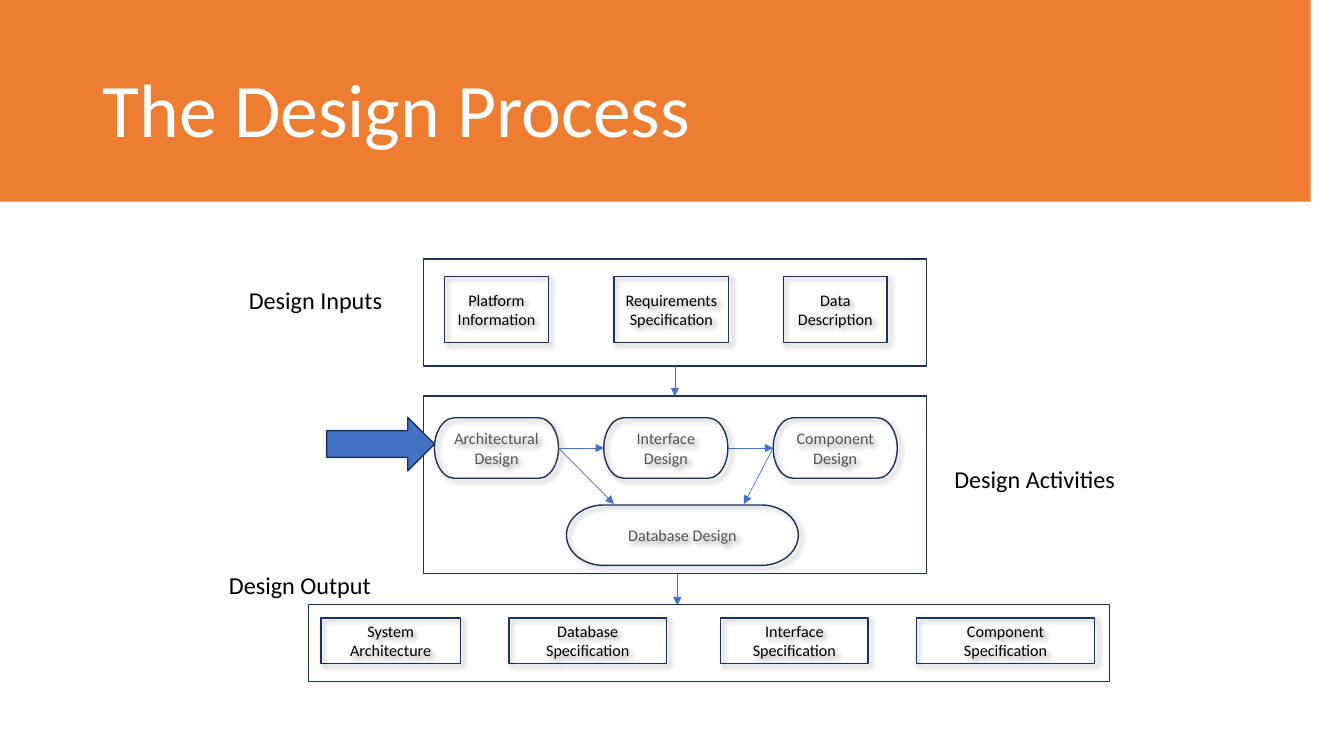
from lxml import etree
from pptx import Presentation
from pptx import util as u
from pptx.dml.color import RGBColor
from pptx.enum import shapes, text
from pptx.oxml import parse_xml
from pptx.oxml.ns import nsdecls, qn

COLORS = {
    "band": "ED7D31", "title": "FFFFFF", "ink": "000000",
    "muted": "555555", "outline": "1E3256", "accent": "4472C4",
}
FONT = "Calibri"
WIDTH, HEIGHT = u.Inches(13.33), u.Inches(7.5)

# Boxes are left, top, width, height in hundredths of the slide's size.
TITLE = (6.9, 5.33, 86.27, 19.33)
INPUTS = (31.5, 34.27, 37.43, 14.13)
ACTIVITIES = (31.5, 52.4, 37.43, 23.47)
OUTPUTS = (22.95, 80, 59.63, 10.13)

# Lower edge of the band in inches, right to left: two controls and an end.
WAVE_START = (13.04, 2.09)
WAVE = [
    (12.66, 2.06, 12.28, 2.06, 11.9, 2.06), (11.48, 2.07, 11.05, 2.09, 10.63, 2.14),
    (10.49, 2.15, 10.35, 2.15, 10.21, 2.14), (10.07, 2.13, 9.92, 2.12, 9.77, 2.13),
    (9.33, 2.14, 8.88, 2.11, 8.43, 2.13), (7.91, 2.15, 7.39, 2.13, 6.87, 2.11),
    (6.51, 2.1, 6.16, 2.09, 5.8, 2.14), (5.67, 2.15, 5.54, 2.14, 5.41, 2.13),
    (5.12, 2.1, 4.82, 2.11, 4.52, 2.14), (4.18, 2.18, 3.84, 2.17, 3.49, 2.15),
    (3.05, 2.12, 2.61, 2.08, 2.17, 2.09), (1.97, 2.1, 1.77, 2.12, 1.58, 2.13),
    (1.33, 2.15, 1.07, 2.15, 0.82, 2.12), (0.61, 2.11, 0.4, 2.1, 0.18, 2.11),
]


def color(name):
    return RGBColor.from_string(COLORS[name])


def across(share):
    return round(WIDTH * share / 100)


def down(share):
    return round(HEIGHT * share / 100)


def place(box):
    left, top, width, height = box
    return across(left), down(top), across(width), down(height)


def inside(frame, left, top, width, height):
    """Turn offsets within a frame into a box on the slide."""
    return frame[0] + left, frame[1] + top, width, height


def write(frame, words, size=11.5, ink="ink", align=text.PP_ALIGN.CENTER,
          anchor=text.MSO_ANCHOR.MIDDLE, wrap=True):
    frame.word_wrap = wrap
    frame.vertical_anchor = anchor
    para = frame.paragraphs[0]
    para.alignment = align
    span = para.add_run()
    span.text = words
    span.font.size, span.font.name = u.Pt(size), FONT
    span.font.color.rgb = color(ink)
    return para


def add_outline(page, kind, box, fill=None):
    shape = page.shapes.add_shape(kind, *place(box))
    shape.shadow.inherit = False
    if fill:
        shape.fill.solid()
        shape.fill.fore_color.rgb = color(fill)
    else:
        shape.fill.background()
    shape.line.color.rgb = color("outline")
    shape.line.width = u.Pt(1)
    return shape


def add_node(page, kind, box, words, ink="ink"):
    """Add a captioned outline with a soft shadow."""
    shape = add_outline(page, kind, box)
    effects = shape._element.spPr.find(qn("a:effectLst"))
    effects.append(parse_xml(
        f'<a:outerShdw {nsdecls("a")} blurRad="{u.Pt(4)}" dist="{u.Pt(3)}" '
        'dir="2700000" algn="tl" rotWithShape="0"><a:srgbClr val="000000">'
        '<a:alpha val="40000"/></a:srgbClr></a:outerShdw>'))
    shape.text_frame.margin_top = shape.text_frame.margin_bottom = 0
    write(shape.text_frame, words, ink=ink)
    return shape


def add_label(page, box, words):
    label = page.shapes.add_textbox(*place(box))
    write(label.text_frame, words, size=17.3, anchor=text.MSO_ANCHOR.TOP, wrap=False)


def add_arrow(page, start=(0, 0), end=(0, 0), source=None, target=None):
    """Join two points, or glue to the right of source and left of target."""
    arrow = page.shapes.add_connector(
        shapes.MSO_CONNECTOR.STRAIGHT,
        across(start[0]), down(start[1]), across(end[0]), down(end[1]))
    if source is not None:
        arrow.begin_connect(source, 3)
    if target is not None:
        arrow.end_connect(target, 1)
    arrow.line.color.rgb = color("accent")
    arrow.line.width = u.Pt(0.5)
    etree.SubElement(arrow.line._get_or_add_ln(), qn("a:tailEnd"), type="triangle")
    etree.SubElement(arrow._element.spPr, qn("a:effectLst"))


def wave_points(steps=8):
    here = WAVE_START
    yield here
    for ax, ay, bx, by, *end in WAVE:
        for step in range(1, steps + 1):
            t = step / steps
            yield tuple(
                (1 - t) ** 3 * p + 3 * (1 - t) ** 2 * t * a + 3 * (1 - t) * t ** 2 * b + t ** 3 * q
                for p, a, b, q in zip(here, (ax, ay), (bx, by), end))
        here = end


def add_header(page, box):
    builder = page.shapes.build_freeform(0, 0, scale=u.Inches(1))
    builder.add_line_segments(
        [(13.33, 0), (13.33, 2.13), *wave_points(), (0, 2.13)], close=True)
    band = builder.convert_to_shape()
    band.shadow.inherit = False
    band.fill.solid()
    band.fill.fore_color.rgb = color("band")
    band.line.fill.background()
    title = page.shapes.title
    title.left, title.top, title.width, title.height = place(box)
    para = write(title.text_frame, "The Design Process", size=54, ink="title",
                 align=text.PP_ALIGN.LEFT)
    para.line_spacing = 0.9
    page.shapes._spTree.append(title._element)


def add_inputs(page, frame):
    rect = shapes.MSO_SHAPE.RECTANGLE
    add_outline(page, rect, frame)
    nodes = [("Platform Information", 7.73), ("Requirements Specification", 8.55),
             ("Data Description", 7.73)]
    for column, (words, width) in enumerate(nodes):
        add_node(page, rect, inside(frame, 1.58 + 12.6 * column, 2.27, width, 8.8), words)
    add_label(page, inside(frame, -13.8, 2.8, 11.55, 5.2), "Design Inputs")
    middle, bottom = frame[0] + frame[2] / 2, frame[1] + frame[3]
    add_arrow(page, (middle, bottom), (middle, bottom + 4))


def add_activities(page, frame):
    add_outline(page, shapes.MSO_SHAPE.RECTANGLE, frame)
    pill = shapes.MSO_SHAPE.FLOWCHART_TERMINATOR
    first, second, third = [
        add_node(page, pill, inside(frame, 0.83 + 12.6 * column, 2.87, 9.23, 8),
                 f"{stage} Design", ink="muted")
        for column, stage in enumerate(["Architectural", "Interface", "Component"])]
    add_node(page, pill, inside(frame, 10.65, 14.4, 17.25, 8), "Database Design", ink="muted")
    add_arrow(page, source=first, target=second)
    add_arrow(page, source=second, target=third)
    left, top = frame[:2]
    add_arrow(page, end=(left + 14.18, top + 14.27), source=first)
    add_arrow(page, (left + 26.03, top + 6.87), (left + 23.85, top + 14.27))
    add_label(page, inside(frame, 38.7, 8.4, 13.58, 5.2), "Design Activities")
    add_outline(page, shapes.MSO_SHAPE.RIGHT_ARROW,
                inside(frame, -7.2, 2.8, 8.03, 7.07), fill="accent")
    bottom = top + frame[3]
    add_arrow(page, (left + 18.9, bottom), (left + 18.9, bottom + 4.2))


def add_outputs(page, frame):
    rect = shapes.MSO_SHAPE.RECTANGLE
    add_outline(page, rect, frame)
    nodes = [("System Architecture", 0.95, 10.35), ("Database Specification", 14.93, 11.7),
             ("Interface Specification", 30.68, 10.95),
             ("Component Specification", 45.23, 13.28)]
    for words, left, width in nodes:
        add_node(page, rect, inside(frame, left, 1.73, width, 6), words)
    add_label(page, inside(frame, -6.75, -5.2, 12.23, 5.2), "Design Output")


def main():
    deck = Presentation()
    deck.slide_width, deck.slide_height = WIDTH, HEIGHT
    page = deck.slides.add_slide(deck.slide_layouts[5])
    add_header(page, TITLE)
    add_inputs(page, INPUTS)
    add_activities(page, ACTIVITIES)
    add_outputs(page, OUTPUTS)
    deck.save("out.pptx")


if __name__ == "__main__":
    main()
